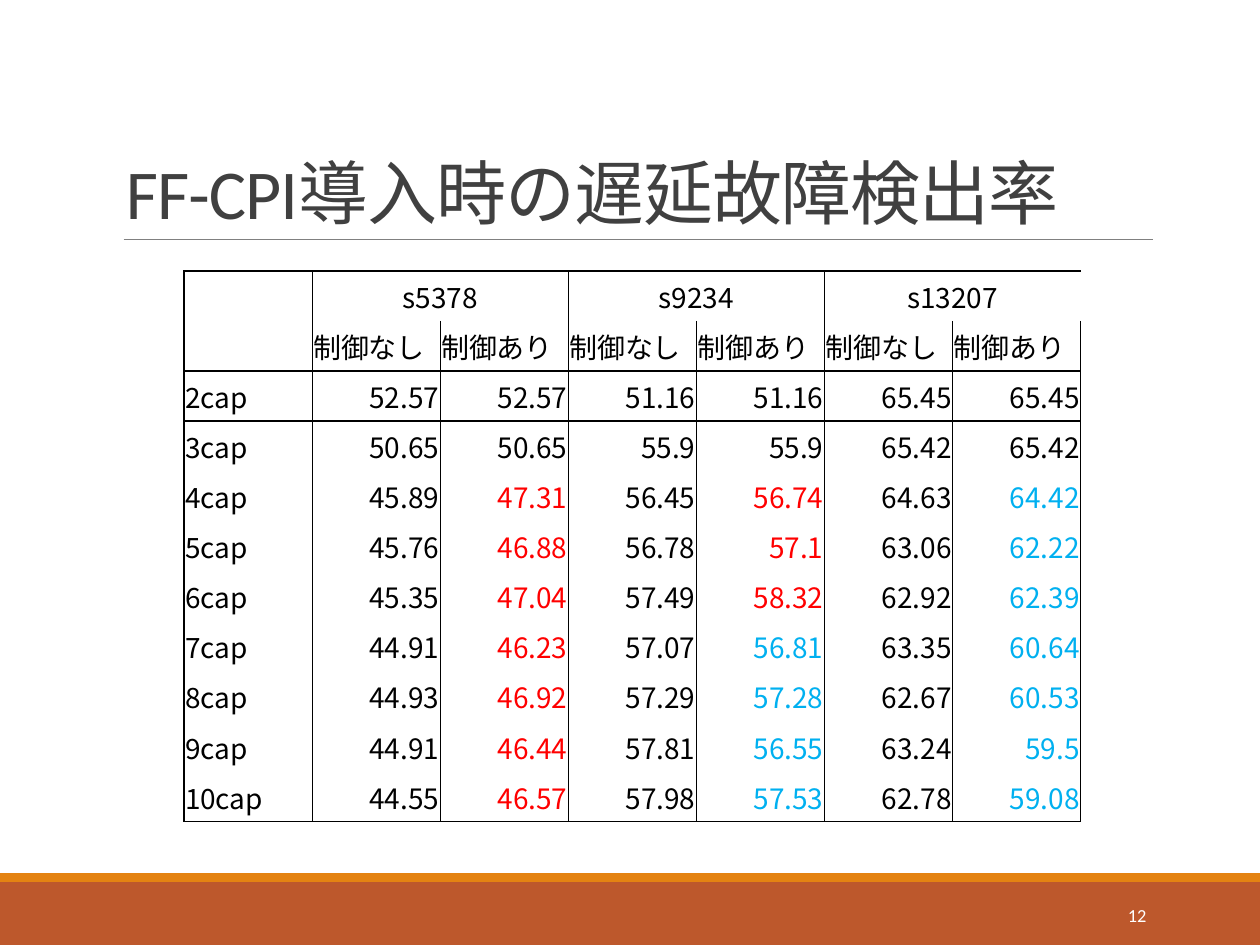
from lxml.etree import SubElement as Sub
from pptx import Presentation
from pptx.dml.color import RGBColor
from pptx.enum.shapes import MSO_CONNECTOR as LINE, MSO_SHAPE as SHAPE
from pptx.enum.text import MSO_ANCHOR as ANCHOR, PP_ALIGN as ALIGN
from pptx.oxml.ns import qn
from pptx.util import Cm, Pt

TITLE = "FF-CPI導入時の遅延故障検出率"
PAGE = "12"
GROUPS = ["s5378", "s9234", "s13207"]
MODES = ["制御なし", "制御あり"]
RATES = [
    ("2cap", 52.57, 52.57, 51.16, 51.16, 65.45, 65.45),
    ("3cap", 50.65, 50.65, 55.9, 55.9, 65.42, 65.42),
    ("4cap", 45.89, 47.31, 56.45, 56.74, 64.63, 64.42),
    ("5cap", 45.76, 46.88, 56.78, 57.1, 63.06, 62.22),
    ("6cap", 45.35, 47.04, 57.49, 58.32, 62.92, 62.39),
    ("7cap", 44.91, 46.23, 57.07, 56.81, 63.35, 60.64),
    ("8cap", 44.93, 46.92, 57.29, 57.28, 62.67, 60.53),
    ("9cap", 44.91, 46.44, 57.81, 56.55, 63.24, 59.5),
    ("10cap", 44.55, 46.57, 57.98, 57.53, 62.78, 59.08),
]
BARS = [(17.78, 1.27, "BD582C"), (17.6, 0.18, "E48312")]
BLACK, RED, BLUE = "000000", "FF0000", "00B0F0"
SANS, CJK = "Calibri", "Noto Sans CJK JP"
NO_GRID = "{2D5ABB26-0587-4C30-8999-92F81FD0307C}"
WIDE, HIGH = 25.4, 19.05


def rgb(code):
    return RGBColor.from_string(code)


def write(frame, text, size, face, color, align=ALIGN.LEFT):
    para = frame.paragraphs[0]
    para.text, para.alignment = text, align
    font = para.font
    font.size, font.name = Pt(size), face
    font.color.rgb = rgb(color)
    Sub(font._element, qn("a:ea")).set("typeface", CJK)
    return para


def add_text(slide, box, anchor, *style):
    frame = slide.shapes.add_textbox(*map(Cm, box)).text_frame
    frame.word_wrap, frame.vertical_anchor = True, anchor
    return write(frame, *style)


def edge(cell, side, width):
    """Draw one border of a cell; side is L, R, T or B."""
    line = Sub(cell._tc.get_or_add_tcPr(), qn("a:ln" + side), w=str(Pt(width)))
    Sub(Sub(line, qn("a:solidFill")), qn("a:srgbClr"), val=BLACK)


def frame_cell(cell, row, col, last_row, last_col):
    """Rule off the label column, each pair of columns, and the header."""
    if col == 0 or col % 2:
        edge(cell, "L", 0.5 if col else 1)
    if col % 2 == 0:
        edge(cell, "R", 1 if col == last_col else 0.5)
    if row in (0, 2):
        edge(cell, "T", 1)
    if row in (1, last_row):
        edge(cell, "B", 1)


def rate_color(row, col):
    """Compare a rate with control to the one without, on its left."""
    if col == 0 or col % 2 or row[col] == row[col - 1]:
        return BLACK
    return RED if row[col] > row[col - 1] else BLUE


def add_rates(slide):
    names = [""] + [n for group in GROUPS for n in (group, "")]
    rows = [names, [""] + MODES * len(GROUPS)] + RATES
    tall, broad = len(rows), len(names)
    table = slide.shapes.add_table(
        tall, broad, Cm(3.71), Cm(5.46), Cm(18.08), Cm(11.1)).table
    table.first_row = table.horz_banding = False
    table._tbl.tblPr.find(qn("a:tableStyleId")).text = NO_GRID
    for r, row in enumerate(rows):
        for c, value in enumerate(row):
            cell = table.cell(r, c)
            cell.margin_left = cell.margin_right = cell.margin_top = Cm(0.02)
            cell.margin_bottom = 0
            cell.vertical_anchor = ANCHOR.MIDDLE
            frame_cell(cell, r, c, tall - 1, broad - 1)
            cell.fill.background()
            align = ALIGN.CENTER if r == 0 else ALIGN.LEFT
            if r > 1 and c:
                align = ALIGN.RIGHT
            color = rate_color(row, c) if r > 1 else BLACK
            write(cell.text_frame, str(value), 16, CJK, color, align)
    table.cell(0, 0).merge(table.cell(1, 0))
    for c in range(1, broad, 2):
        table.cell(0, c).merge(table.cell(0, c + 1))


def main():
    deck = Presentation()
    deck.slide_width, deck.slide_height = Cm(WIDE), Cm(HIGH)
    slide = deck.slides.add_slide(deck.slide_layouts[6])

    for top, tall, color in BARS:
        bar = slide.shapes.add_shape(
            SHAPE.RECTANGLE, 0, Cm(top), Cm(WIDE), Cm(tall))
        bar.shadow.inherit = False
        bar.fill.solid()
        bar.fill.fore_color.rgb = rgb(color)
        bar.line.fill.background()

    rule = slide.shapes.add_connector(
        LINE.STRAIGHT, Cm(2.49), Cm(4.83), Cm(23.24), Cm(4.83))
    rule.line.color.rgb, rule.line.width = rgb("808080"), Pt(0.5)
    Sub(rule._element.spPr, qn("a:effectLst"))

    title = add_text(slide, (2.29, 0.79, 20.96, 4.04), ANCHOR.BOTTOM,
                     TITLE, 40, SANS, "404040")
    title.line_spacing = 0.85
    title.font._element.set("spc", "-50")
    add_rates(slide)
    add_text(slide, (20.62, 17.93, 2.74, 1.02), ANCHOR.MIDDLE,
             PAGE, 10.5, SANS, "FFFFFF", ALIGN.RIGHT)
    deck.save("out.pptx")


if __name__ == "__main__":
    main()
